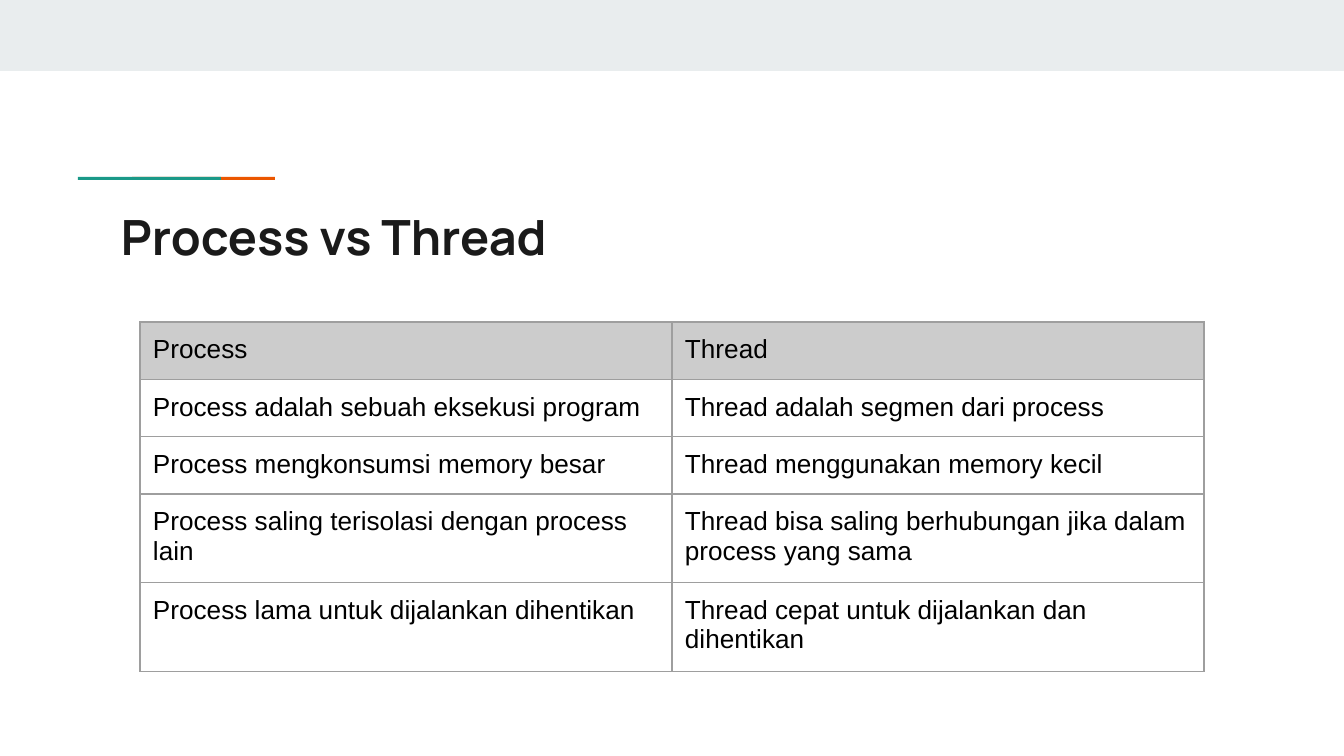
from dataclasses import dataclass

from lxml import etree
from pptx import Presentation
from pptx.dml.color import RGBColor
from pptx.enum.shapes import MSO_SHAPE
from pptx.enum.text import MSO_ANCHOR
from pptx.oxml.ns import qn
from pptx.util import Emu, Pt

RECT = MSO_SHAPE.RECTANGLE
TOP = MSO_ANCHOR.TOP
SCALE = 914400 / 134.4  # EMU in one px
PAD = 13


@dataclass(frozen=True)
class Theme:
    band: str = "E9EDEE"
    green: str = "1A9988"
    orange: str = "EB5600"
    title: str = "1A1A1A"
    text: str = "000000"
    head: str = "CCCCCC"
    rule: str = "9E9E9E"
    title_font: str = "Manrope"
    body_font: str = "Arial"
    title_size: int = 26
    body_size: int = 14
    rule_width: float = 0.75


@dataclass(frozen=True)
class Bar:
    left: int
    top: int
    width: int
    height: int
    color: str


THEME = Theme()

BARS = [
    Bar(0, 0, 1344, 71, THEME.band),
    Bar(132, 177, 143, 3, THEME.orange),
    Bar(78, 177, 143, 3, THEME.green),
]

ROWS = [
    ("Process", "Thread"),
    ("Process adalah sebuah eksekusi program", "Thread adalah segmen dari process"),
    ("Process mengkonsumsi memory besar", "Thread menggunakan memory kecil"),
    ("Process saling terisolasi dengan process lain",
     "Thread bisa saling berhubungan jika dalam process yang sama"),
    ("Process lama untuk dijalankan dihentikan",
     "Thread cepat untuk dijalankan dan dihentikan"),
]
HEIGHTS = [56, 56, 56, 86, 86]
COL = 532


def px(n: int) -> Emu:
    return Emu(round(n * SCALE))


def rgb(color: str) -> RGBColor:
    return RGBColor.from_string(color)


def write(frame, text: str, *, font: str, size: int, color: str,
          bold: bool = False) -> None:
    frame.word_wrap = True
    run = frame.paragraphs[0].add_run()
    run.text = text
    run.font.name = font
    run.font.size = Pt(size)
    run.font.bold = bold
    run.font.color.rgb = rgb(color)


def inset(box) -> None:
    box.margin_left = box.margin_right = px(PAD)
    box.margin_top = box.margin_bottom = px(PAD)
    box.vertical_anchor = TOP


def draw_bar(slide, bar: Bar) -> None:
    shape = slide.shapes.add_shape(
        RECT, px(bar.left), px(bar.top), px(bar.width), px(bar.height))
    shape.shadow.inherit = False
    shape.fill.solid()
    shape.fill.fore_color.rgb = rgb(bar.color)
    shape.line.fill.background()


def draw_title(slide, text: str) -> None:
    frame = slide.shapes.add_textbox(px(108), px(194), px(1130), px(79)).text_frame
    inset(frame)
    write(frame, text, font=THEME.title_font, size=THEME.title_size,
          color=THEME.title, bold=True)


def edge(cell) -> None:
    # Borders come before the fill in the cell properties
    props = cell._tc.get_or_add_tcPr()
    for i, side in enumerate(("a:lnL", "a:lnR", "a:lnT", "a:lnB")):
        line = etree.Element(qn(side), w=str(Pt(THEME.rule_width)))
        fill = etree.SubElement(line, qn("a:solidFill"))
        etree.SubElement(fill, qn("a:srgbClr"), val=THEME.rule)
        props.insert(i, line)


def draw_table(slide) -> None:
    table = slide.shapes.add_table(
        len(ROWS), 2, px(140), px(322), px(2 * COL), px(sum(HEIGHTS))).table
    table.horz_banding = False
    for col in table.columns:
        col.width = px(COL)
    for r, (texts, height) in enumerate(zip(ROWS, HEIGHTS)):
        table.rows[r].height = px(height)
        for c, text in enumerate(texts):
            cell = table.cell(r, c)
            inset(cell)
            if r == 0:
                cell.fill.solid()
                cell.fill.fore_color.rgb = rgb(THEME.head)
            else:
                cell.fill.background()
            edge(cell)
            write(cell.text_frame, text, font=THEME.body_font,
                  size=THEME.body_size, color=THEME.text)


def main() -> None:
    deck = Presentation()
    deck.slide_width, deck.slide_height = px(1344), px(756)
    slide = deck.slides.add_slide(deck.slide_layouts[6])

    # Top band and two-colour accent
    for bar in BARS:
        draw_bar(slide, bar)

    # Heading and comparison
    draw_title(slide, "Process vs Thread")
    draw_table(slide)
    deck.save("out.pptx")


if __name__ == "__main__":
    main()
